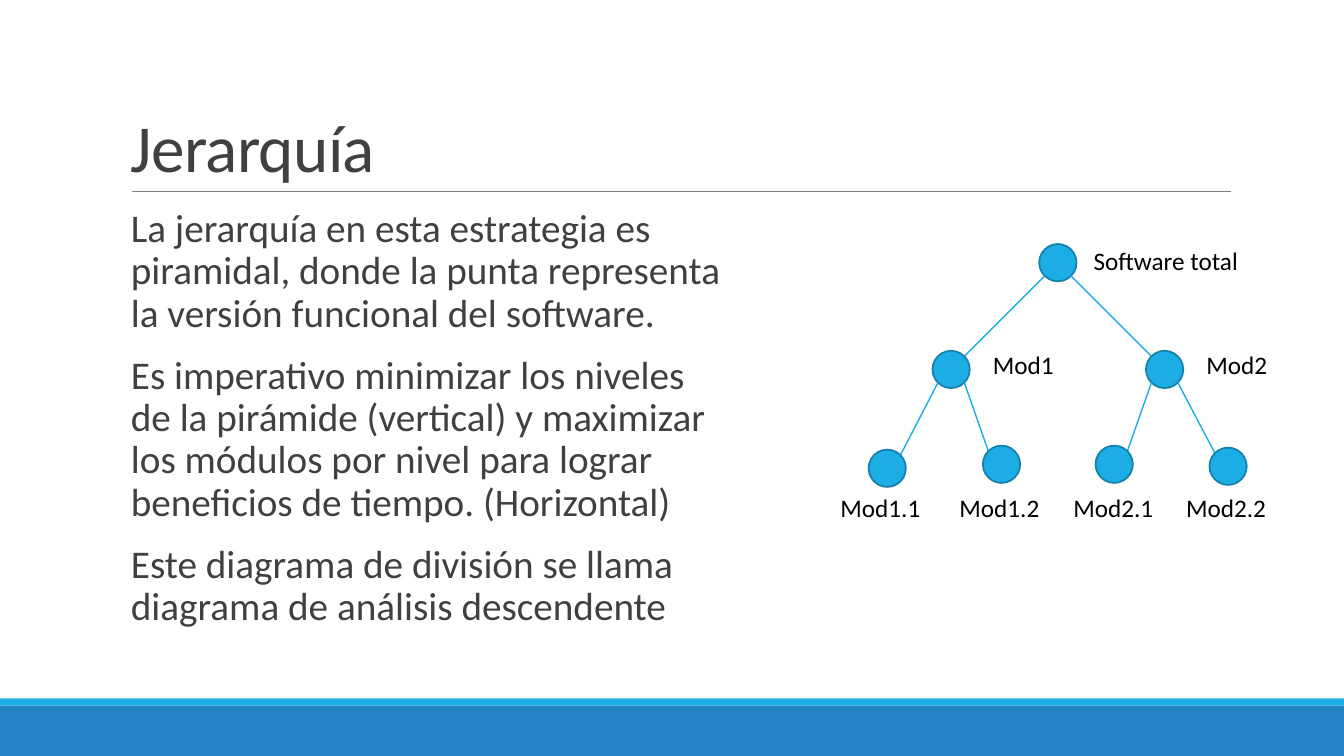
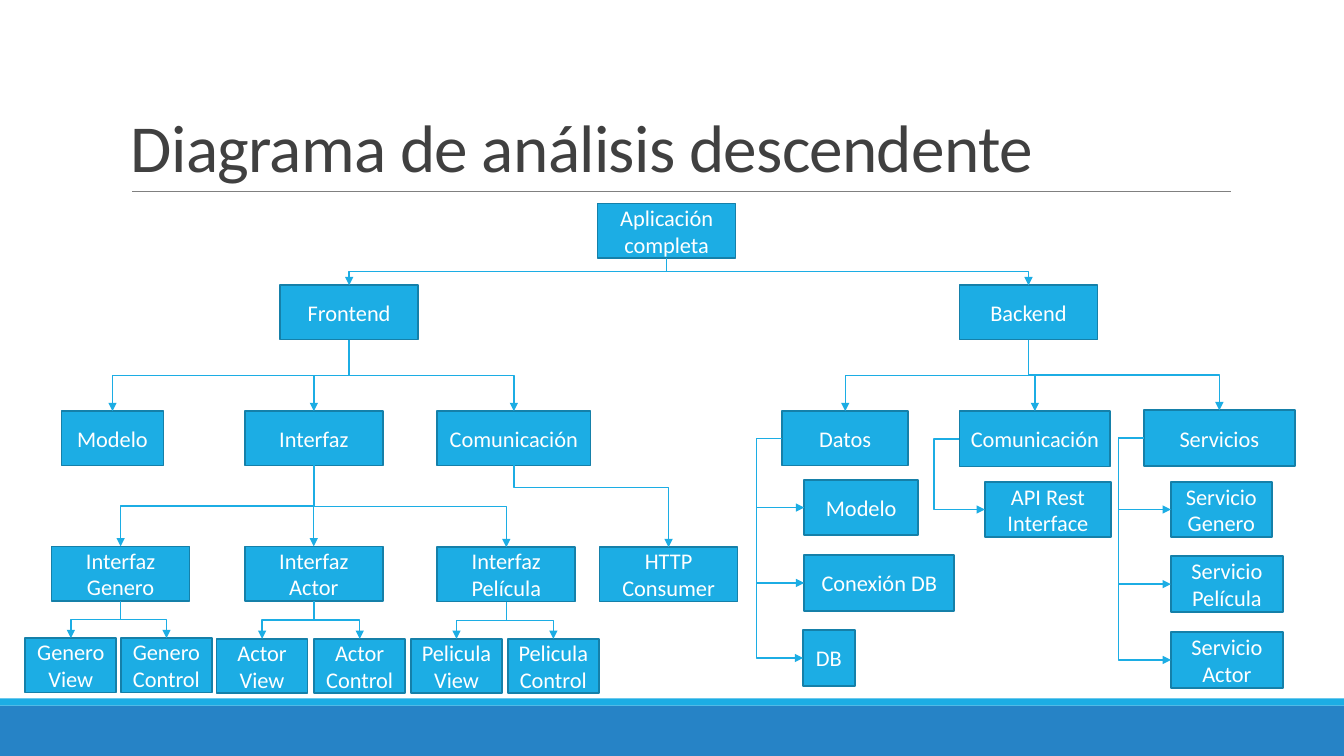
"""Builds two slides on module hierarchy and top-down analysis diagrams."""
from dataclasses import dataclass
from math import sqrt

from lxml import etree
from pptx import Presentation
from pptx.dml.color import RGBColor
from pptx.enum.shapes import MSO_CONNECTOR, MSO_SHAPE
from pptx.enum.text import MSO_ANCHOR, PP_ALIGN
from pptx.oxml.ns import qn
from pptx.util import Cm, Pt

RECTANGLE, OVAL = MSO_SHAPE.RECTANGLE, MSO_SHAPE.OVAL
STRAIGHT, ELBOW = MSO_CONNECTOR.STRAIGHT, MSO_CONNECTOR.ELBOW
TOP, MIDDLE, BOTTOM = MSO_ANCHOR.TOP, MSO_ANCHOR.MIDDLE, MSO_ANCHOR.BOTTOM
CENTER = PP_ALIGN.CENTER
TOP_SITE, LEFT_SITE, BOTTOM_SITE = 0, 1, 2
SIDE_REACH = 0.64


@dataclass(frozen=True)
class Theme:
    font: str = "Calibri"
    accent: str = "1CADE4"
    outline: str = "1580A9"
    band: str = "2683C6"
    rule: str = "808080"
    text: str = "404040"
    label: str = "000000"
    box_text: str = "FFFFFF"
    title_size: float = 48
    body_size: float = 28
    label_size: float = 18
    box_size: float = 16
    outline_width: float = 1.25
    link_width: float = 1
    rule_width: float = 0.5


@dataclass(frozen=True)
class Module:
    text: str
    left: float
    top: float
    width: float = 3.48
    height: float = 1.37
    children: tuple = ()
    sideways: bool = False
    bend: float = 0.5


@dataclass(frozen=True)
class Node:
    text: str
    left: float
    top: float
    label: tuple
    children: tuple = ()


class Deck:
    def __init__(self, theme):
        self.theme = theme
        self.presentation = Presentation()
        self.presentation.slide_width = Cm(33.87)
        self.presentation.slide_height = Cm(19.05)
        self.slide = None

    def new_slide(self, title):
        theme = self.theme
        self.slide = self.presentation.slides.add_slide(self.presentation.slide_layouts[6])
        self.shape(RECTANGLE, (0, 17.78, 33.87, 1.27), theme.band)
        self.shape(RECTANGLE, (0, 17.6, 33.87, 0.18), theme.accent)
        self.line((3.33, 4.82), (31.01, 4.82), theme.rule, theme.rule_width)
        heading = self.text((3.05, 0.79, 27.94, 4.04), [title], theme.title_size,
                            theme.text, BOTTOM, {"line_spacing": 0.85})
        for run in heading.paragraphs[0].runs:
            run.font._element.set("spc", "-50")

    def shape(self, kind, place, fill, outline=None):
        shape = self.slide.shapes.add_shape(kind, *map(Cm, place))
        shape.shadow.inherit = False
        shape.fill.solid()
        shape.fill.fore_color.rgb = RGBColor.from_string(fill)
        if outline:
            self.stroke(shape.line, outline, self.theme.outline_width)
        else:
            shape.line.fill.background()
        return shape

    def stroke(self, line, color, width):
        line.color.rgb = RGBColor.from_string(color)
        line.width = Pt(width)

    def set_text(self, frame, lines, size, color, anchor, spacing):
        frame.word_wrap = True
        frame.vertical_anchor = anchor
        frame.text = "\n".join(lines)
        for paragraph in frame.paragraphs:
            for name, value in spacing.items():
                setattr(paragraph, name, value)
            for run in paragraph.runs:
                for name, value in {"name": self.theme.font, "size": Pt(size)}.items():
                    setattr(run.font, name, value)
                run.font.color.rgb = RGBColor.from_string(color)

    def text(self, place, lines, size, color, anchor=TOP, spacing=None):
        frame = self.slide.shapes.add_textbox(*map(Cm, place)).text_frame
        self.set_text(frame, lines, size, color, anchor, spacing or {})
        return frame

    def body(self, place, paragraphs):
        spacing = {"line_spacing": 0.9, "space_before": Pt(12), "space_after": Pt(2)}
        frame = self.text(place, paragraphs, self.theme.body_size, self.theme.text,
                          spacing=spacing)
        frame.margin_left, frame.margin_right = Cm(0.25), Cm(0)

    def connector(self, kind, start, end, color, width):
        connector = self.slide.shapes.add_connector(kind, *map(Cm, start + end))
        self.stroke(connector.line, color, width)
        etree.SubElement(connector.element.spPr, qn("a:effectLst"))
        return connector

    def line(self, start, end, color, width):
        self.connector(STRAIGHT, start, end, color, width)

    def elbow(self, parent, child, module):
        link = self.connector(ELBOW, (0, 0), (1, 1), self.theme.accent, self.theme.link_width)
        link.begin_connect(parent, LEFT_SITE if module.sideways else BOTTOM_SITE)
        link.end_connect(child, LEFT_SITE if module.sideways else TOP_SITE)
        properties = link.element.spPr
        bend = module.bend
        if module.sideways:
            bend = -Cm(SIDE_REACH) / link.width
        else:
            self.turn_downward(link, properties.find(qn("a:xfrm")))
        adjustments = properties.find(qn("a:prstGeom")).find(qn("a:avLst"))
        etree.SubElement(adjustments, qn("a:gd"), name="adj1", fmla=f"val {round(bend * 100000)}")
        etree.SubElement(properties.find(qn("a:ln")), qn("a:tailEnd"), type="triangle")

    def turn_downward(self, link, frame):
        across, down = link.end_x - link.begin_x, link.end_y - link.begin_y
        center_x = (link.begin_x + link.end_x) // 2
        center_y = (link.begin_y + link.end_y) // 2
        turned = {"left": center_x - down // 2, "top": center_y - abs(across) // 2,
                  "width": down, "height": abs(across)}
        for name, value in turned.items():
            setattr(link, name, value)
        frame.set("rot", "5400000" if across < 0 else "16200000")
        frame.set("flipH", "0" if across < 0 else "1")
        frame.set("flipV", "0")

    def module_tree(self, module, parent=None):
        theme = self.theme
        box = self.shape(RECTANGLE, (module.left, module.top, module.width, module.height),
                         theme.accent, theme.outline)
        self.set_text(box.text_frame, module.text.split("\n"), theme.box_size,
                      theme.box_text, MIDDLE, {"alignment": CENTER})
        if parent is not None:
            self.elbow(parent, box, module)
        for child in module.children:
            self.module_tree(child, box)

    def node_tree(self, node, diameter=0.94):
        theme = self.theme
        self.shape(OVAL, (node.left, node.top, diameter, diameter), theme.accent, theme.outline)
        self.text(node.label + (1.02,), [node.text], theme.label_size, theme.label)
        radius = diameter / 2
        reach = radius / sqrt(2)
        for child in node.children:
            side = 1 if child.left > node.left else -1
            start = (node.left + radius + side * reach, node.top + radius + reach)
            end = (child.left + radius - side * reach, child.top + radius - reach)
            self.line(start, end, theme.accent, theme.link_width)
            self.node_tree(child, diameter)


def views(name, top, left_view, left_control):
    return tuple(Module(f"{name}\n{part}", left, top, 2.29)
                 for part, left in (("View", left_view), ("Control", left_control)))


def side_module(text, left, top, width, height=1.4):
    return Module(text, left, top, width, height, sideways=True)


HIERARCHY_TEXT = [
    "La jerarquía en esta estrategia es piramidal, donde la punta representa "
    "la versión funcional del software.",
    "Es imperativo minimizar los niveles de la pirámide (vertical) y maximizar "
    "los módulos por nivel para lograr beneficios de tiempo. (Horizontal)",
    "Este diagrama de división se llama diagrama de análisis descendente",
]

HIERARCHY = Node("Software total", 26.19, 6.15, (27.31, 6.05, 5.03), (
    Node("Mod1", 23.5, 8.84, (24.77, 8.69, 2.24), (
        Node("Mod1.1", 21.89, 11.33, (20.93, 12.27, 2.57)),
        Node("Mod1.2", 24.77, 11.23, (23.93, 12.27, 2.57)))),
    Node("Mod2", 28.88, 8.84, (30.15, 8.69, 2.24), (
        Node("Mod2.1", 27.61, 11.23, (26.8, 12.27, 2.57)),
        Node("Mod2.2", 30.48, 11.28, (29.64, 12.27, 2.57))))))

FRONTEND = Module("Frontend", 7.06, 7.19, children=(
    Module("Modelo", 1.55, 10.36, 2.57),
    Module("Interfaz", 6.17, 10.36, children=(
        Module("Interfaz Genero", 1.3, 13.77, children=views("Genero", 16.08, 0.64, 3.05)),
        Module("Interfaz Actor", 6.17, 13.77, children=views("Actor", 16.1, 5.46, 7.92)),
        Module("Interfaz Película", 11.02, 13.79,
               children=views("Pelicula", 16.1, 10.36, 12.8)))),
    Module("Comunicación", 11.02, 10.36, 3.86, children=(
        Module("HTTP Consumer", 15.11, 13.79, bend=0.27),))))

BACKEND = Module("Backend", 24.18, 7.19, children=(
    Module("Datos", 19.71, 10.36, 3.18, children=(
        side_module("Modelo", 20.27, 12.09, 2.87),
        side_module("Conexión DB", 20.27, 13.99, 3.78),
        side_module("DB", 20.24, 15.88, 1.3))),
    Module("Comunicación", 24.18, 10.36, 3.8, 1.4, (
        side_module("API Rest\nInterface", 24.82, 12.14, 3.18),)),
    Module("Servicios", 28.83, 10.34, 3.8, 1.4, (
        side_module("Servicio\nGenero", 29.51, 12.14, 2.54),
        side_module("Servicio\nPelícula", 29.51, 14.02, 2.82),
        side_module("Servicio\nActor", 29.51, 15.93, 2.82)))))

APPLICATION = Module("Aplicación completa", 15.06, 5.13, children=(FRONTEND, BACKEND))


def main():
    deck = Deck(Theme())
    deck.new_slide("Jerarquía")
    deck.body((3.05, 5.13, 15.42, 11.18), HIERARCHY_TEXT)
    deck.node_tree(HIERARCHY)
    deck.new_slide("Diagrama de análisis descendente")
    deck.module_tree(APPLICATION)
    deck.presentation.save("out.pptx")


if __name__ == "__main__":
    main()
